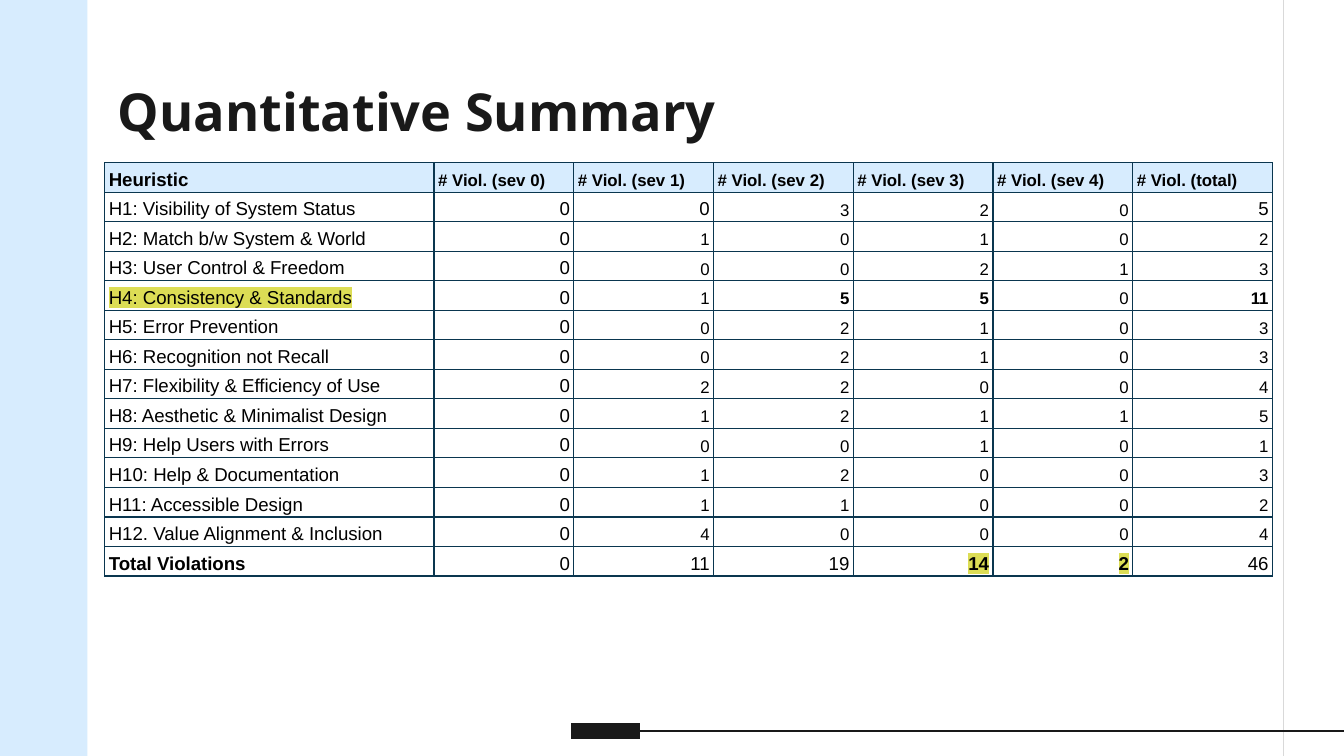
import pptx
import pptx.util
import pptx.dml.color
import pptx.enum.shapes
import pptx.enum.text
import pptx.oxml
import pptx.oxml.ns
from dataclasses import dataclass

Inches = pptx.util.Inches
Pt = pptx.util.Pt


@dataclass
class Theme:
    pale: str = "D7ECFE"
    white: str = "FFFFFF"
    grey: str = "D9D9D9"
    dark: str = "191919"
    black: str = "000000"
    navy: str = "0A364F"
    mark: str = "DCDD55"
    head: str = "Open Sans"
    body: str = "Arial"
    title: int = 28
    text: int = 10
    small: int = 9
    thin: float = 0.75
    thick: int = 9


def color(code):
    return pptx.dml.color.RGBColor.from_string(code)


def child(node, tag, **attrs):
    part = pptx.oxml.parse_xml(
        f'<a:{tag} {pptx.oxml.ns.nsdecls("a")}/>')
    for name, value in attrs.items():
        part.set(name, str(value))
    node.append(part)
    return part


class Page:
    def __init__(self, slide, theme):
        self.slide = slide
        self.theme = theme

    def block(self, x, y, w, h, fill):
        shape = self.slide.shapes.add_shape(
            pptx.enum.shapes.MSO_SHAPE.RECTANGLE,
            Inches(x), Inches(y), Inches(w), Inches(h))
        shape.shadow.inherit = False
        shape.fill.solid()
        shape.fill.fore_color.rgb = color(fill)
        shape.line.fill.background()

    def rule(self, x1, y1, x2, y2, tint, width):
        line = self.slide.shapes.add_connector(
            pptx.enum.shapes.MSO_CONNECTOR.STRAIGHT,
            Inches(x1), Inches(y1), Inches(x2), Inches(y2))
        line.line.color.rgb = color(tint)
        line.line.width = Pt(width)
        child(line._element.spPr, "effectLst")

    def run(self, para, text, size, font, tint, bold=False, mark=None):
        run = para.add_run()
        run.text = text
        run.font.size = Pt(size)
        run.font.bold = bold
        run.font.color.rgb = color(tint)
        if mark:
            child(child(run._r.get_or_add_rPr(), "highlight"),
                  "srgbClr", val=mark)
        run.font.name = font

    def title(self, text, x, y, w, h):
        frame = self.slide.shapes.add_textbox(
            Inches(x), Inches(y), Inches(w), Inches(h)).text_frame
        frame.word_wrap = True
        for side in ("left", "top", "right", "bottom"):
            setattr(frame, f"margin_{side}", Inches(0.1))
        self.run(frame.paragraphs[0], text, self.theme.title,
                 self.theme.head, self.theme.dark, True)

    def cell(self, cell, text, size, right, fill, bold, mark):
        cell.margin_left = cell.margin_right = Inches(0.03)
        cell.margin_top = cell.margin_bottom = Pt(1)
        cell.vertical_anchor = pptx.enum.text.MSO_ANCHOR.BOTTOM
        para = cell.text_frame.paragraphs[0]
        para.line_spacing = 1.15
        if right:
            para.alignment = pptx.enum.text.PP_ALIGN.RIGHT
        self.run(para, text, size, self.theme.body, self.theme.black,
                 bold, mark)
        props = cell._tc.get_or_add_tcPr()
        for side in ("lnL", "lnR", "lnT", "lnB"):
            edge = child(props, side, w=Pt(self.theme.thin))
            child(child(edge, "solidFill"), "srgbClr", val=self.theme.navy)
        if fill:
            cell.fill.solid()
            cell.fill.fore_color.rgb = color(fill)
        else:
            cell.fill.background()

    def table(self, rows, x, y, widths, height, bold, marked, large):
        theme = self.theme
        table = self.slide.shapes.add_table(
            len(rows), len(widths), Inches(x), Inches(y),
            Inches(sum(widths)), Inches(height * len(rows))).table
        table.first_row = table.horz_banding = False
        for col, width in zip(table.columns, widths):
            col.width = Inches(width)
        last = len(rows) - 1
        for r, row in enumerate(rows):
            table.rows[r].height = Inches(height)
            for c, value in enumerate(row):
                top = r == 0
                big = (c == 0 or r == last or (c == 1 and not top)
                       or (r, c) in large)
                fill = theme.pale if top else None if big else theme.white
                self.cell(table.cell(r, c), str(value),
                          theme.text if big else theme.small,
                          c > 0 and not top, fill,
                          top or (r, c) in bold,
                          theme.mark if (r, c) in marked else None)


COUNTS = [
    ("H1: Visibility of System Status", 0, 0, 3, 2, 0),
    ("H2: Match b/w System & World", 0, 1, 0, 1, 0),
    ("H3: User Control & Freedom", 0, 0, 0, 2, 1),
    ("H4: Consistency & Standards", 0, 1, 5, 5, 0),
    ("H5: Error Prevention", 0, 0, 2, 1, 0),
    ("H6: Recognition not Recall", 0, 0, 2, 1, 0),
    ("H7: Flexibility & Efficiency of Use", 0, 2, 2, 0, 0),
    ("H8: Aesthetic & Minimalist Design", 0, 1, 2, 1, 1),
    ("H9: Help Users with Errors", 0, 0, 0, 1, 0),
    ("H10: Help & Documentation", 0, 1, 2, 0, 0),
    ("H11: Accessible Design", 0, 1, 1, 0, 0),
    ("H12. Value Alignment & Inclusion", 0, 4, 0, 0, 0),
]


def main():
    deck = pptx.Presentation()
    deck.slide_width = Inches(10)
    deck.slide_height = deck.slide_width * 9 // 16
    theme = Theme()
    page = Page(deck.slides.add_slide(deck.slide_layouts[6]), theme)

    page.block(0, 0, 0.65, deck.slide_height.inches, theme.pale)
    page.rule(9.55, -0.04, 9.55, 5.66, theme.grey, theme.thin)
    page.rule(4.25, 5.44, 4.76, 5.44, theme.dark, theme.thick)
    page.rule(4.76, 5.44, 10.09, 5.44, theme.dark, theme.thin)
    page.title("Quantitative Summary", 0.78, 0.49, 5.07, 0.63)

    heads = [f"# Viol. ({key})" for key in
             [f"sev {n}" for n in range(5)] + ["total"]]
    sums = [sum(col) for col in list(zip(*COUNTS))[1:]]
    body = [(*row, sum(row[1:]))
            for row in COUNTS + [("Total Violations", *sums)]]
    page.table([("Heuristic", *heads)] + body, 0.78, 1.21,
               [2.45] + [1.04] * 6, 0.22,
               bold={(4, 3), (4, 4), (4, 6), (13, 0), (13, 4), (13, 5)},
               marked={(4, 0), (13, 4), (13, 5)},
               large={(1, 2), (1, 6)})
    deck.save("out.pptx")


if __name__ == "__main__":
    main()
